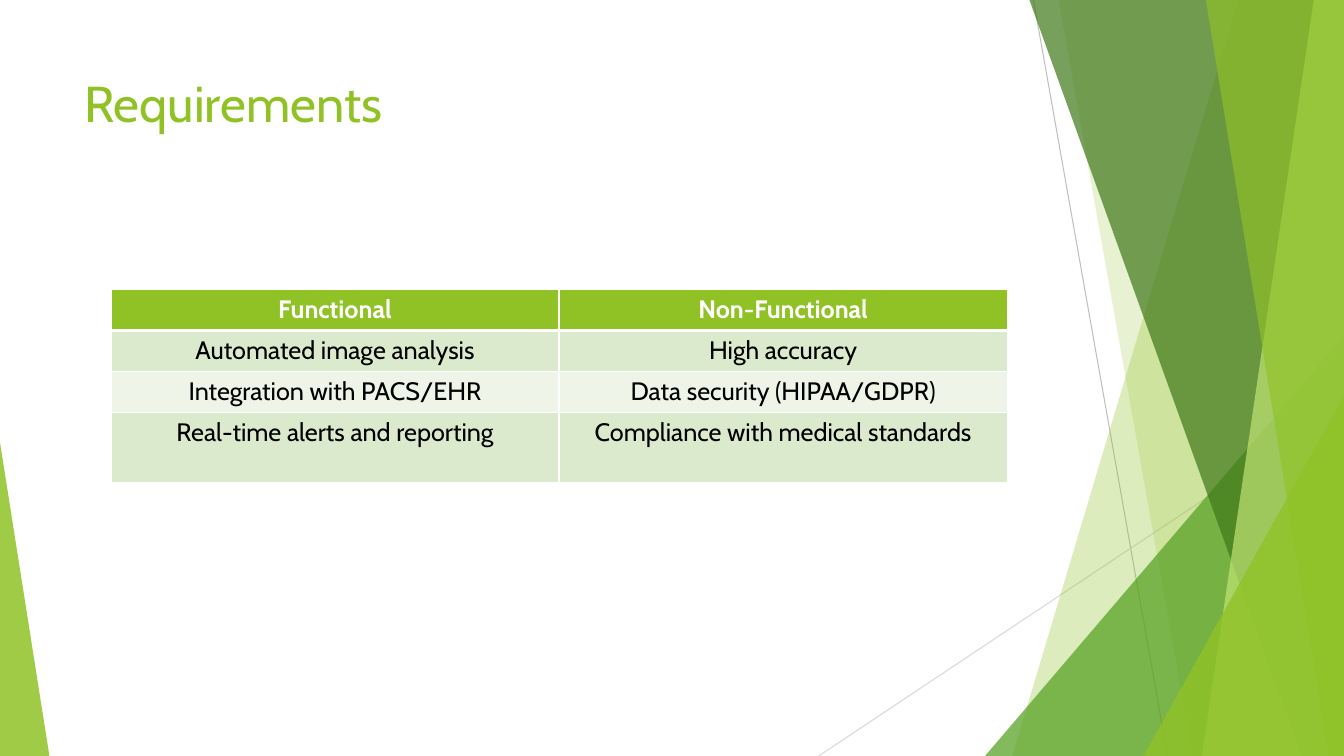
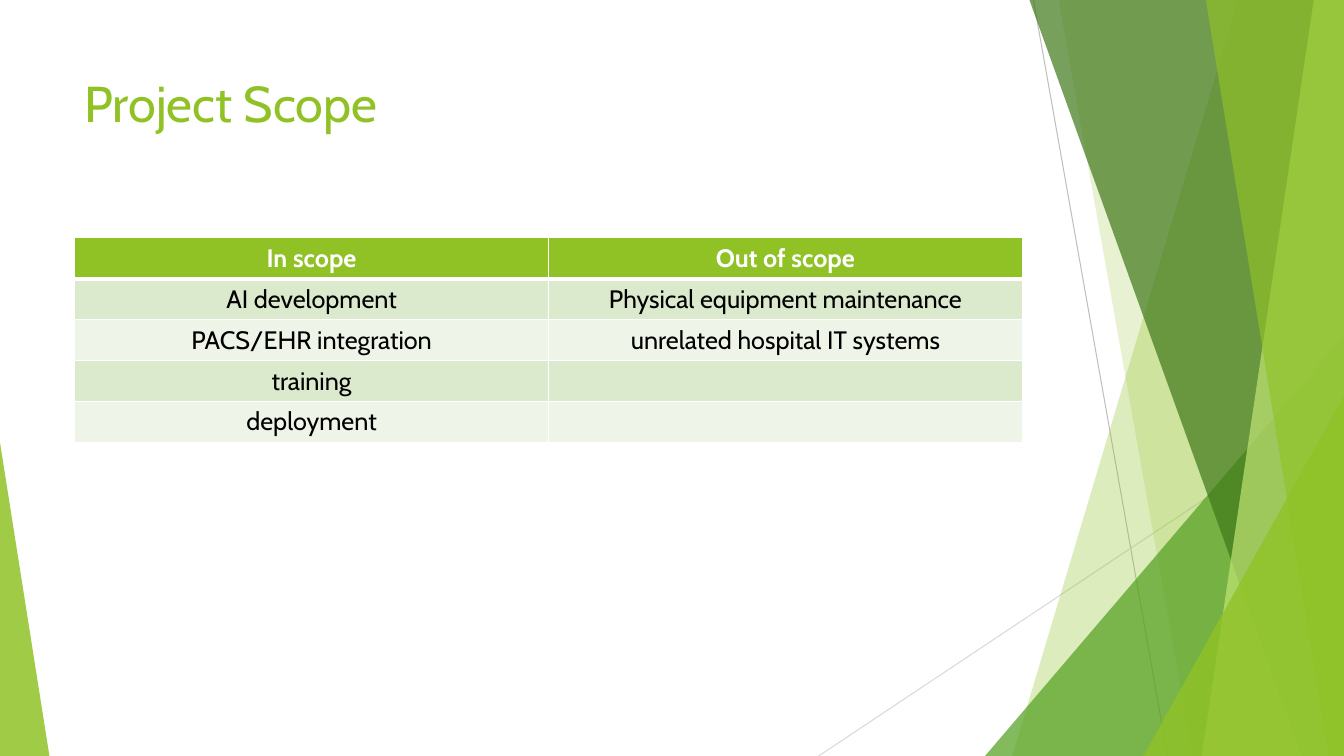
import dataclasses
import typing

import lxml.etree
import pptx
import pptx.dml.color
import pptx.enum.shapes
import pptx.enum.text
import pptx.oxml.ns
import pptx.slide
import pptx.util

EMU_PER_PX = 9144  # 100 px to the inch
PAGE_WIDTH, PAGE_HEIGHT = 1333, 750


@dataclasses.dataclass(frozen=True)
class Theme:
    font: str = "Cabin"
    lime: str = "90C226"
    pale_lime: str = "C0E474"
    green: str = "54A021"
    forest: str = "3F7819"
    row_odd: str = "DBE9CD"
    row_even: str = "EEF4E8"
    white: str = "FFFFFF"
    black: str = "000000"
    ray_dark: str = "BFBFBF"
    ray_light: str = "D9D9D9"
    title_size: int = 36
    table_size: int = 18
    ray_width: float = 0.75
    border_width: int = 1
    header_border_width: int = 3


THEME = Theme()


class Ray(typing.NamedTuple):
    start: tuple[int, int]
    end: tuple[int, int]
    color: str


class Band(typing.NamedTuple):
    """Full-height facet whose left edge slants and whose right edge is the page."""

    top_x: int
    bottom_x: int
    color: str
    opacity: int


class Wedge(typing.NamedTuple):
    """Triangle standing on the page bottom, with its apex at one side (0 or 1)."""

    left: int
    width: int
    height: int
    apex: int
    color: str
    opacity: int


class TableSlide(typing.NamedTuple):
    title: str
    left: int
    top: int
    width: int
    height: int
    rows: list[tuple[str, str]]
    last_row_extra: int = 0


RAYS = [
    Ray((1025, 0), (1158, PAGE_HEIGHT), THEME.ray_dark),
    Ray((PAGE_WIDTH, 403), (812, PAGE_HEIGHT), THEME.ray_light),
]
FACETS = [
    Band(1228, 1004, THEME.lime, 30),
    Band(1050, 1183, THEME.lime, 20),
    Wedge(977, 356, 417, 1, THEME.green, 72),
    Band(1021, 1291, THEME.forest, 70),
    Band(1303, 1192, THEME.pale_lime, 70),
    Band(1196, 1318, THEME.lime, 65),
    Wedge(1134, 199, 357, 1, THEME.lime, 80),
    Wedge(0, 49, 311, 0, THEME.lime, 85),
]
SLIDES = [
    TableSlide(
        "Requirements", 110, 287, 889, 192,
        [
            ("Functional", "Non-Functional"),
            ("Automated image analysis", "High accuracy"),
            ("Integration with PACS/EHR", "Data security (HIPAA/GDPR)"),
            ("Real-time alerts and reporting", "Compliance with medical standards"),
        ],
        last_row_extra=29,
    ),
    TableSlide(
        "Project Scope", 74, 236, 940, 203,
        [
            ("In scope", "Out of scope"),
            ("AI development", "Physical equipment maintenance"),
            ("PACS/EHR integration", "unrelated hospital IT systems"),
            ("training", ""),
            ("deployment", ""),
        ],
    ),
]


def px(length: float) -> pptx.util.Emu:
    return pptx.util.Emu(round(length * EMU_PER_PX))


def rgb(color: str) -> pptx.dml.color.RGBColor:
    return pptx.dml.color.RGBColor.from_string(color)


def write(para, text: str, size: int, color: str, bold: bool = False) -> None:
    span = para.add_run()
    span.text = text
    font_format = {"name": THEME.font, "size": pptx.util.Pt(size), "bold": bold}
    for name, value in font_format.items():
        setattr(span.font, name, value)
    span.font.color.rgb = rgb(color)


def draw_ray(page: pptx.slide.Slide, ray: Ray) -> None:
    line = page.shapes.add_connector(
        pptx.enum.shapes.MSO_CONNECTOR.STRAIGHT,
        *map(px, ray.start + ray.end),
    )
    line.line.color.rgb = rgb(ray.color)
    line.line.width = pptx.util.Pt(THEME.ray_width)
    lxml.etree.SubElement(line.element.spPr, pptx.oxml.ns.qn("a:effectLst"))


def draw_facet(page: pptx.slide.Slide, facet: Band | Wedge) -> None:
    if isinstance(facet, Band):
        outline = page.shapes.build_freeform(facet.top_x, 0, scale=EMU_PER_PX)
        outline.add_line_segments(
            [(PAGE_WIDTH, 0), (PAGE_WIDTH, PAGE_HEIGHT), (facet.bottom_x, PAGE_HEIGHT)],
            close=True,
        )
        shape = outline.convert_to_shape()
    else:
        shape = page.shapes.add_shape(
            pptx.enum.shapes.MSO_SHAPE.ISOSCELES_TRIANGLE,
            px(facet.left), px(PAGE_HEIGHT - facet.height),
            px(facet.width), px(facet.height),
        )
        shape.adjustments[0] = facet.apex
    shape.shadow.inherit = False
    shape.line.fill.background()
    shape.fill.solid()
    shape.fill.fore_color.rgb = rgb(facet.color)
    fill_color = shape.element.spPr.find(".//" + pptx.oxml.ns.qn("a:srgbClr"))
    lxml.etree.SubElement(
        fill_color, pptx.oxml.ns.qn("a:alpha"), val=str(facet.opacity * 1000)
    )


def draw_title(page: pptx.slide.Slide, title: str) -> None:
    box = page.shapes.add_textbox(*map(px, (74, 67, 940, 144)))
    box.text_frame.word_wrap = True
    write(box.text_frame.paragraphs[0], title, THEME.title_size, THEME.lime)


def set_borders(cell, row_index: int) -> None:
    """Give white edges, heavier where the header meets the body."""
    widths = dict.fromkeys(("lnL", "lnR", "lnT", "lnB"), THEME.border_width)
    if row_index < 2:
        widths["lnT" if row_index else "lnB"] = THEME.header_border_width
    properties = cell._tc.get_or_add_tcPr()
    for tag, width in widths.items():
        edge = lxml.etree.SubElement(
            properties, pptx.oxml.ns.qn("a:" + tag), w=str(pptx.util.Pt(width))
        )
        fill = lxml.etree.SubElement(edge, pptx.oxml.ns.qn("a:solidFill"))
        lxml.etree.SubElement(fill, pptx.oxml.ns.qn("a:srgbClr"), val=THEME.white)


def fill_cell(cell, text: str, row_index: int) -> None:
    is_header = row_index == 0
    set_borders(cell, row_index)
    cell.fill.solid()
    body_fill = THEME.row_odd if row_index % 2 else THEME.row_even
    cell.fill.fore_color.rgb = rgb(THEME.lime if is_header else body_fill)
    para = cell.text_frame.paragraphs[0]
    para.alignment = pptx.enum.text.PP_ALIGN.CENTER
    if text:
        color = THEME.white if is_header else THEME.black
        write(para, text, THEME.table_size, color, bold=is_header)


def draw_table(page: pptx.slide.Slide, content: TableSlide) -> None:
    row_count, column_count = len(content.rows), len(content.rows[0])
    table = page.shapes.add_table(
        row_count, column_count,
        px(content.left), px(content.top), px(content.width), px(content.height),
    ).table
    table.first_row = table.horz_banding = False
    row_height = (content.height - content.last_row_extra) / row_count
    for row_index, texts in enumerate(content.rows):
        table.rows[row_index].height = px(row_height)
        for column_index, text in enumerate(texts):
            fill_cell(table.cell(row_index, column_index), text, row_index)
    table.rows[row_count - 1].height = px(row_height + content.last_row_extra)


def main() -> None:
    deck = pptx.Presentation()
    deck.slide_width, deck.slide_height = px(PAGE_WIDTH), px(PAGE_HEIGHT)
    blank_layout = deck.slide_layouts[6]
    for content in SLIDES:
        page = deck.slides.add_slide(blank_layout)
        for ray in RAYS:
            draw_ray(page, ray)
        for facet in FACETS:
            draw_facet(page, facet)
        draw_title(page, content.title)
        draw_table(page, content)
    deck.save("out.pptx")


if __name__ == "__main__":
    main()
